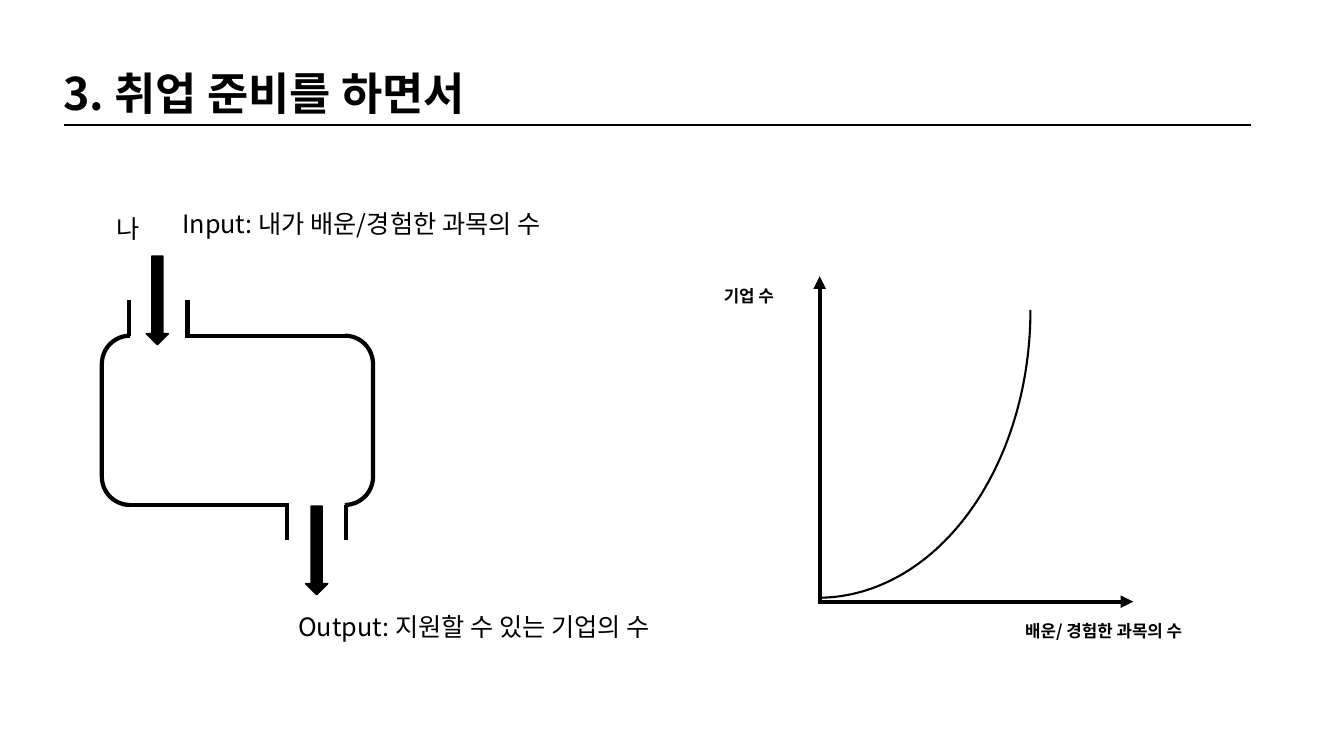
import pptx
import pptx.dml.color
import pptx.enum.shapes
import pptx.enum.text
import pptx.oxml
import pptx.oxml.ns
import pptx.util

CELL = pptx.util.Inches(0.1)
INK = "000000"
FONT = "Noto Sans CJK KR"
SHAPE = pptx.enum.shapes.MSO_SHAPE
ALIGN = pptx.enum.text.PP_ALIGN


def cells(*counts):
    """Turn grid cells into lengths."""
    return [round(count * CELL) for count in counts]


def color(hex_code):
    """Turn a hex string into a colour."""
    return pptx.dml.color.RGBColor.from_string(hex_code)


def add_element(parent, tag, **attributes):
    """Append a DrawingML element with the given attributes."""
    element = pptx.oxml.parse_xml(f"<a:{tag} {pptx.oxml.ns.nsdecls('a')}/>")
    for key, value in attributes.items():
        element.set(key, value)
    parent.append(element)


def add_label(slide, wording, box, size=18, bold=False, align=ALIGN.LEFT):
    """Write one line of text in a box."""
    frame = slide.shapes.add_textbox(*cells(*box)).text_frame
    frame.word_wrap = True
    paragraph = frame.paragraphs[0]
    paragraph.alignment = align
    run = paragraph.add_run()
    run.text = wording
    style = {"size": pptx.util.Pt(size), "bold": bold, "name": FONT}
    for key, value in style.items():
        setattr(run.font, key, value)
    run.font.color.rgb = color(INK)
    add_element(run.font._element, "ea", typeface=FONT)


def add_line(slide, start, end, width=3, arrow=False):
    """Draw a straight line, with an arrowhead at its end if asked."""
    line = slide.shapes.add_connector(
        pptx.enum.shapes.MSO_CONNECTOR.STRAIGHT, *cells(*start, *end))
    line.line.width = pptx.util.Pt(width)
    line.line.color.rgb = color(INK)
    if arrow:
        add_element(line.line._get_or_add_ln(), "tailEnd", type="triangle")
    add_element(line._element.spPr, "effectLst")


def add_outline(slide, preset, box, width, rotation=0, fill=None):
    """Draw a preset shape, hollow unless a fill is given."""
    shape = slide.shapes.add_shape(preset, *cells(*box))
    shape.shadow.inherit = False
    shape.rotation = rotation
    shape.line.width = pptx.util.Pt(width)
    shape.line.color.rgb = color(INK)
    if fill:
        shape.fill.solid()
        shape.fill.fore_color.rgb = color(fill)
    else:
        shape.fill.background()


def add_heading(slide, left, top, width):
    """Place the heading over its rule."""
    add_label(slide, "3. 취업 준비를 하면서", (left - 1, top, 52.3, 6.4), 32, True)
    add_line(slide, (left, top + 6.4), (left + width, top + 6.4), 1.5)


def add_machine(slide, left, top, width, height):
    """Draw the input and output box with its two open spouts."""
    add_outline(slide, SHAPE.DOUBLE_BRACKET, (left, top, width, height), 3)
    spout_edges = [((2.7, 0), (2.7, -3.5)), ((8.5, 0), (8.5, -3.5)),
                   ((8.3, 0), (24.3, 0))]
    for edge in spout_edges:
        add_line(slide, *[(left + x, top + y) for x, y in edge])
        add_line(slide, *[(left + width - x, top + height - y) for x, y in edge])
    for x, y in ((4.4, -7.9), (20.2, height + 0.1)):
        add_outline(slide, SHAPE.UP_ARROW, (left + x, top + y, 2.2, 8.8), 1, 180, INK)
    add_label(slide, "나", (left + 0.1, top - 12.6, 5.1, 4), align=ALIGN.CENTER)
    add_label(slide, "Input: 내가 배운/경험한 과목의 수", (left + 7, top - 13.1, 42.1, 4))
    add_label(slide, "Output: 지원할 수 있는 기업의 수",
              (left + 18.5, top + height + 10.1, 42.1, 4))


def add_growth_graph(slide, left, top, width, height):
    """Draw two axes with labels and a rising curve."""
    base = top + height
    add_label(slide, "기업 수", (left - 10.5, top + 0.5, 10.5, 3), 12, True)
    add_line(slide, (left, base), (left, top), arrow=True)
    add_line(slide, (left - 0.2, base), (left + width - 0.2, base), arrow=True)
    add_label(slide, "배운/ 경험한 과목의 수", (left + 19.4, base + 1.4, 27.4, 3), 12, True)
    add_outline(slide, SHAPE.ARC, (left - 28.7, top - 17.7, 57.1, 42.1), 1.5, 90)


def main():
    """Build and save the slide."""
    deck = pptx.Presentation()
    deck.slide_width = pptx.util.Inches(13.33)
    deck.slide_height = pptx.util.Inches(7.5)
    slide = deck.slides.add_slide(deck.slide_layouts[6])
    add_heading(slide, 6.3, 6, 117.8)
    add_machine(slide, 10.1, 33.3, 26.9, 16.8)
    add_growth_graph(slide, 81.3, 27.4, 31.3, 32.3)
    deck.save("out.pptx")


if __name__ == "__main__":
    main()
